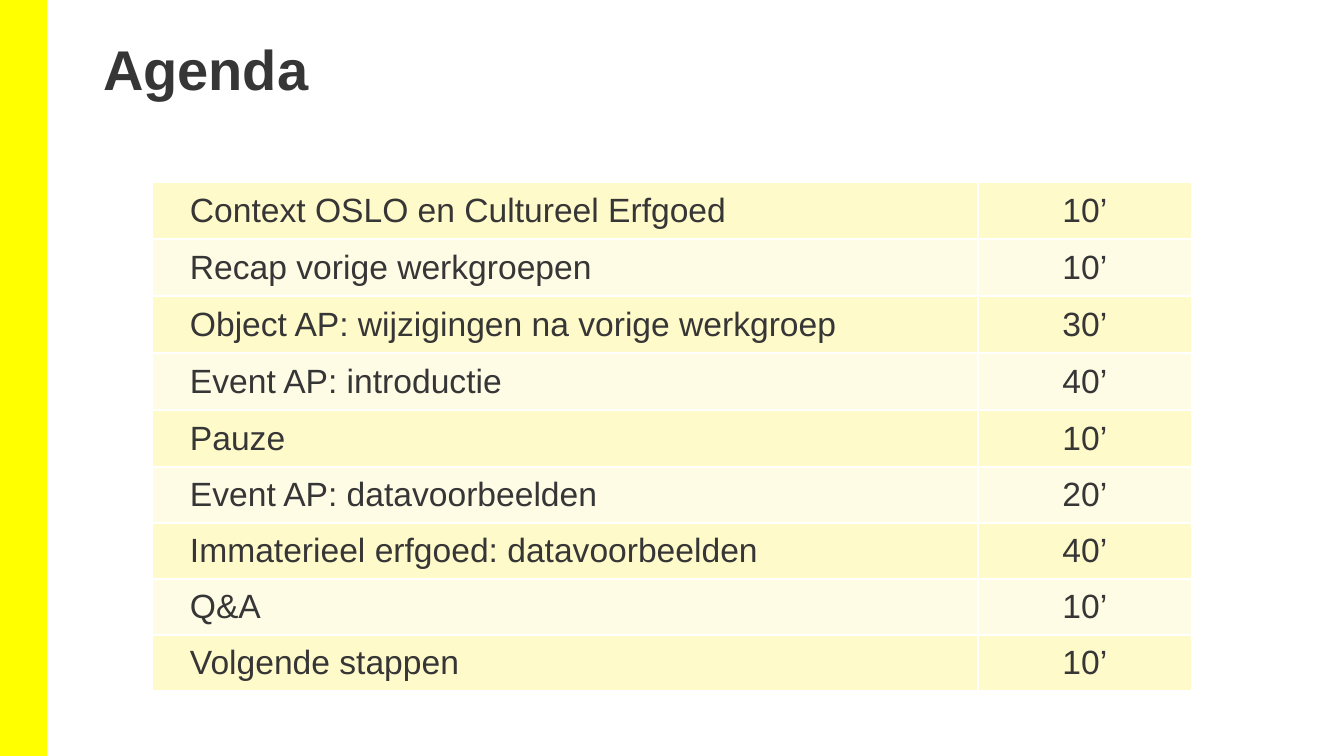
"""Build an agenda slide with a banded two-column timetable."""
import pptx
import pptx.dml.color
import pptx.enum.shapes
import pptx.enum.text
import pptx.oxml.ns
import pptx.util
from lxml import etree

TITLE = "Agenda"
AGENDA = [
    ("Context OSLO en Cultureel Erfgoed", "10’"),
    ("Recap vorige werkgroepen", "10’"),
    ("Object AP: wijzigingen na vorige werkgroep", "30’"),
    ("Event AP: introductie", "40’"),
    ("Pauze", "10’"),
    ("Event AP: datavoorbeelden", "20’"),
    ("Immaterieel erfgoed: datavoorbeelden", "40’"),
    ("Q&A", "10’"),
    ("Volgende stappen", "10’"),
]
COLUMNS = (826, 214)
ROWS = [57] * 5 + [56] * 4
BANDS = ("FFFACA", "FFFCE6")
INK, YELLOW, WHITE = "373636", "FFFF00", "FFFFFF"
FONT = "Arial"
ALIGN = pptx.enum.text.PP_ALIGN
MIDDLE = pptx.enum.text.MSO_ANCHOR.MIDDLE


def px(n):
    return pptx.util.Emu(round(n * 914400 / 100.8))


def color(value):
    return pptx.dml.color.RGBColor.from_string(value)


def style(p, size, align, bold=False):
    p.alignment = align
    p.font.name = FONT
    p.font.size = pptx.util.Pt(size)
    p.font.bold = bold
    p.font.color.rgb = color(INK)


def add_borders(cell):
    tc_pr = cell._tc.get_or_add_tcPr()
    qn = pptx.oxml.ns.qn
    for side in ("a:lnL", "a:lnR", "a:lnT", "a:lnB"):
        ln = etree.SubElement(tc_pr, qn(side), w="12700")
        fill = etree.SubElement(ln, qn("a:solidFill"))
        etree.SubElement(fill, qn("a:srgbClr"), val=WHITE)


def add_bar(s):
    bar = s.shapes.add_shape(
        pptx.enum.shapes.MSO_SHAPE.RECTANGLE, 0, 0, px(47), px(756))
    bar.shadow.inherit = False
    bar.fill.solid()
    bar.fill.fore_color.rgb = color(YELLOW)
    bar.line.fill.background()


def add_title(s):
    sp = s.shapes.title
    sp.left, sp.top, sp.width, sp.height = map(px, (93, 14, 889, 122))
    tf = sp.text_frame
    tf.text = TITLE
    tf.auto_size = pptx.enum.text.MSO_AUTO_SIZE.NONE
    tf.vertical_anchor = MIDDLE
    p = tf.paragraphs[0]
    p.line_spacing = 0.75
    style(p, 40, ALIGN.LEFT, bold=True)


def add_agenda(s):
    table = s.shapes.add_table(
        len(AGENDA), len(COLUMNS), px(152), px(182),
        px(sum(COLUMNS)), px(sum(ROWS))).table
    table.first_row = table.horz_banding = False
    for column, width in zip(table.columns, COLUMNS):
        column.width = px(width)
    for i, (row, height, texts) in enumerate(zip(table.rows, ROWS, AGENDA)):
        row.height = px(height)
        for cell, text, align in zip(row.cells, texts, (ALIGN.LEFT, ALIGN.CENTER)):
            add_borders(cell)
            cell.fill.solid()
            cell.fill.fore_color.rgb = color(BANDS[i % 2])
            cell.vertical_anchor = MIDDLE
            cell.margin_left = px(38 if align == ALIGN.LEFT else 10)
            cell.text = text
            style(cell.text_frame.paragraphs[0], 24, align)


def main():
    prs = pptx.Presentation()
    prs.slide_width, prs.slide_height = px(1344), px(756)
    s = prs.slides.add_slide(prs.slide_layouts[5])
    add_bar(s)
    add_agenda(s)
    add_title(s)
    prs.save("out.pptx")


if __name__ == "__main__":
    main()
